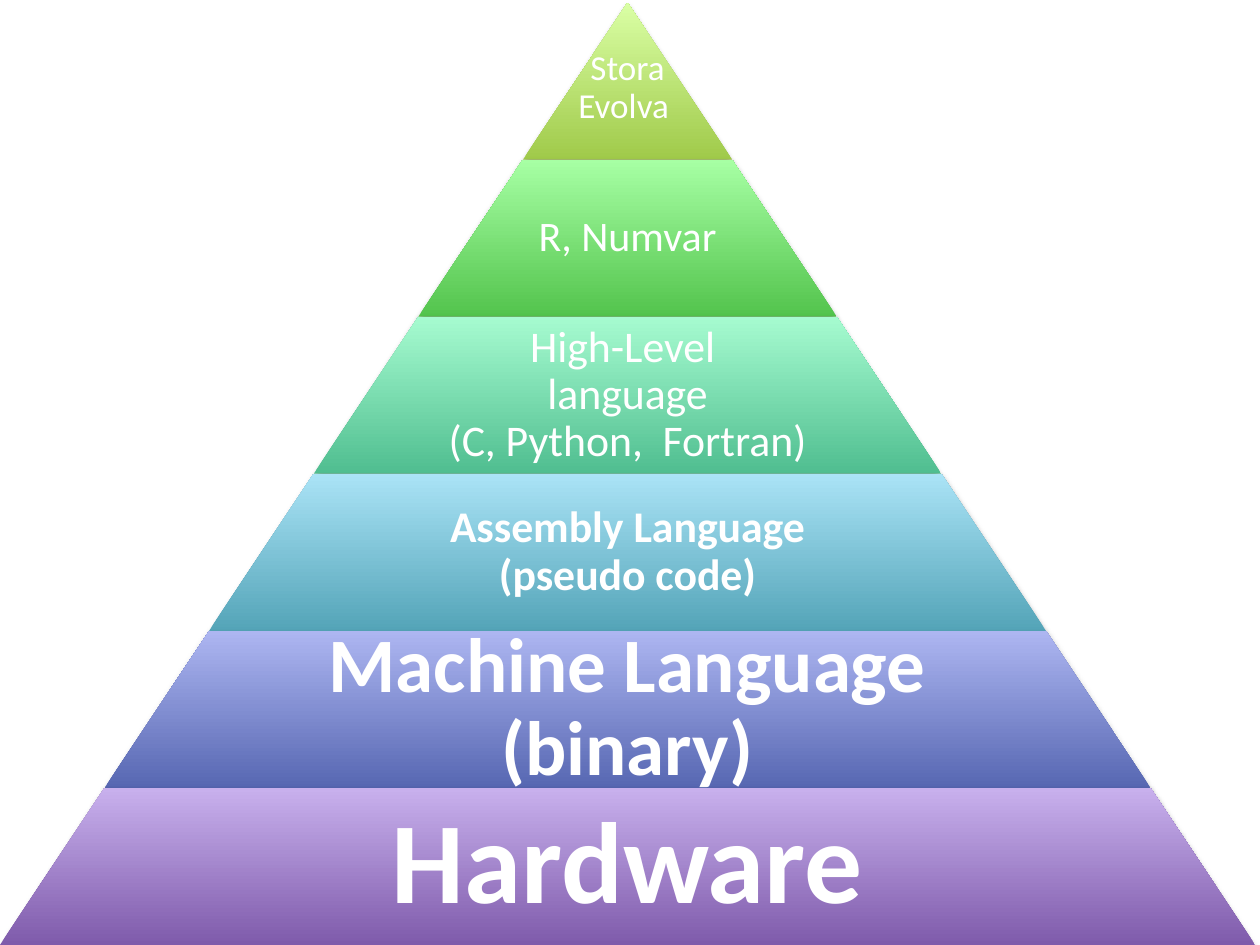
import dataclasses

import lxml.etree
import pptx
import pptx.dml.color
import pptx.enum.shapes
import pptx.enum.text
import pptx.oxml.ns
import pptx.util

Pt = pptx.util.Pt
RGBColor = pptx.dml.color.RGBColor


@dataclasses.dataclass(frozen=True)
class Theme:
    """Colours, font and type sizes of the pyramid."""
    font: str = "Calibri"
    text: str = "FFFFFF"
    shadow: str = "000000"
    # Bottom and top colour of each level, from the tip down.
    gradients: tuple = (("A0CA4A", "DAFFA5"), ("53C44D", "A7FFA4"),
                        ("50BE90", "A6FBD0"), ("54A4B8", "AAE3F6"),
                        ("5767B2", "ADB6F1"), ("7F5BAB", "C8B0ED"))
    sizes: tuple = (20, 24, 25, 25, 44, 66)


THEME = Theme()
SLIDE_WIDTH, SLIDE_HEIGHT = 720, 540
PYRAMID_TOP = 1.5
LEVEL_HEIGHT = (SLIDE_HEIGHT - PYRAMID_TOP) / 6
HALF_STEP = 59.77
SLOPE = 0.666
LABEL_SHARE = 0.65
TIP_LABEL_DROP = 8

# Label and boldness of each level; \v breaks a line.
LEVELS = (
    ("Stora\vEvolva ", False),
    ("R, Numvar", False),
    ("High-Level \vlanguage\v(C, Python,  Fortran)", False),
    ("Assembly Language\v(pseudo code)", True),
    ("Machine Language\v(binary)", True),
    ("Hardware", True),
)


def apply_format(target, values):
    """Set every attribute in values on target."""
    for name, value in values.items():
        setattr(target, name, value)


def add_soft_shadow(band):
    """Give the band a soft shadow that falls straight down."""
    band.shadow.inherit = False
    qn = pptx.oxml.ns.qn
    effects = band._element.spPr.find(qn("a:effectLst"))
    outer = lxml.etree.SubElement(
        effects, qn("a:outerShdw"), blurRad=str(Pt(3.1)), dist=str(Pt(1.8)),
        dir="5400000", rotWithShape="0")
    tint = lxml.etree.SubElement(outer, qn("a:srgbClr"), val=THEME.shadow)
    lxml.etree.SubElement(tint, qn("a:alpha"), val="35000")


def add_band(slide, left, top, width, gradient):
    """Draw one sloped level of the pyramid."""
    band = slide.shapes.add_shape(
        pptx.enum.shapes.MSO_SHAPE.TRAPEZOID,
        Pt(left), Pt(top), Pt(width), Pt(LEVEL_HEIGHT))
    band.adjustments[0] = SLOPE
    band.fill.gradient()
    band.fill.gradient_angle = 90
    for position, (stop, colour) in enumerate(
            zip(band.fill.gradient_stops, gradient)):
        apply_format(stop, {"position": position})
        stop.color.rgb = RGBColor.from_string(colour)
    band.line.fill.background()
    add_soft_shadow(band)


def add_label(slide, left, top, width, wording, size, bold, drop=0):
    """Write the centred label of one level, lowered by half of drop."""
    label = slide.shapes.add_textbox(
        Pt(left), Pt(top), Pt(width), Pt(LEVEL_HEIGHT))
    frame = label.text_frame
    inset = Pt(size / 10)
    apply_format(frame, {
        "word_wrap": True,
        "vertical_anchor": pptx.enum.text.MSO_ANCHOR.MIDDLE,
        "margin_left": inset, "margin_right": inset,
        "margin_top": inset + Pt(drop), "margin_bottom": inset,
        "text": wording,
    })
    paragraph = frame.paragraphs[0]
    apply_format(paragraph, {
        "alignment": pptx.enum.text.PP_ALIGN.CENTER, "line_spacing": 0.9})
    for run in paragraph.runs:
        apply_format(run.font, {
            "name": THEME.font, "size": Pt(size), "bold": bold})
        run.font.color.rgb = RGBColor.from_string(THEME.text)


def main():
    """Build the pyramid of language levels."""
    deck = pptx.Presentation()
    apply_format(deck, {"slide_width": Pt(SLIDE_WIDTH),
                        "slide_height": Pt(SLIDE_HEIGHT)})
    slide = deck.slides.add_slide(deck.slide_layouts[6])
    centre = HALF_STEP * len(LEVELS)
    for level, (wording, bold) in enumerate(LEVELS):
        top = PYRAMID_TOP + level * LEVEL_HEIGHT
        width = 2 * HALF_STEP * (level + 1)
        is_tip = level == 0
        label_width = width if is_tip else width * LABEL_SHARE
        add_band(slide, centre - width / 2, top, width,
                 THEME.gradients[level])
        add_label(slide, centre - label_width / 2, top, label_width, wording,
                  THEME.sizes[level], bold, TIP_LABEL_DROP if is_tip else 0)
    deck.save("out.pptx")


main()
